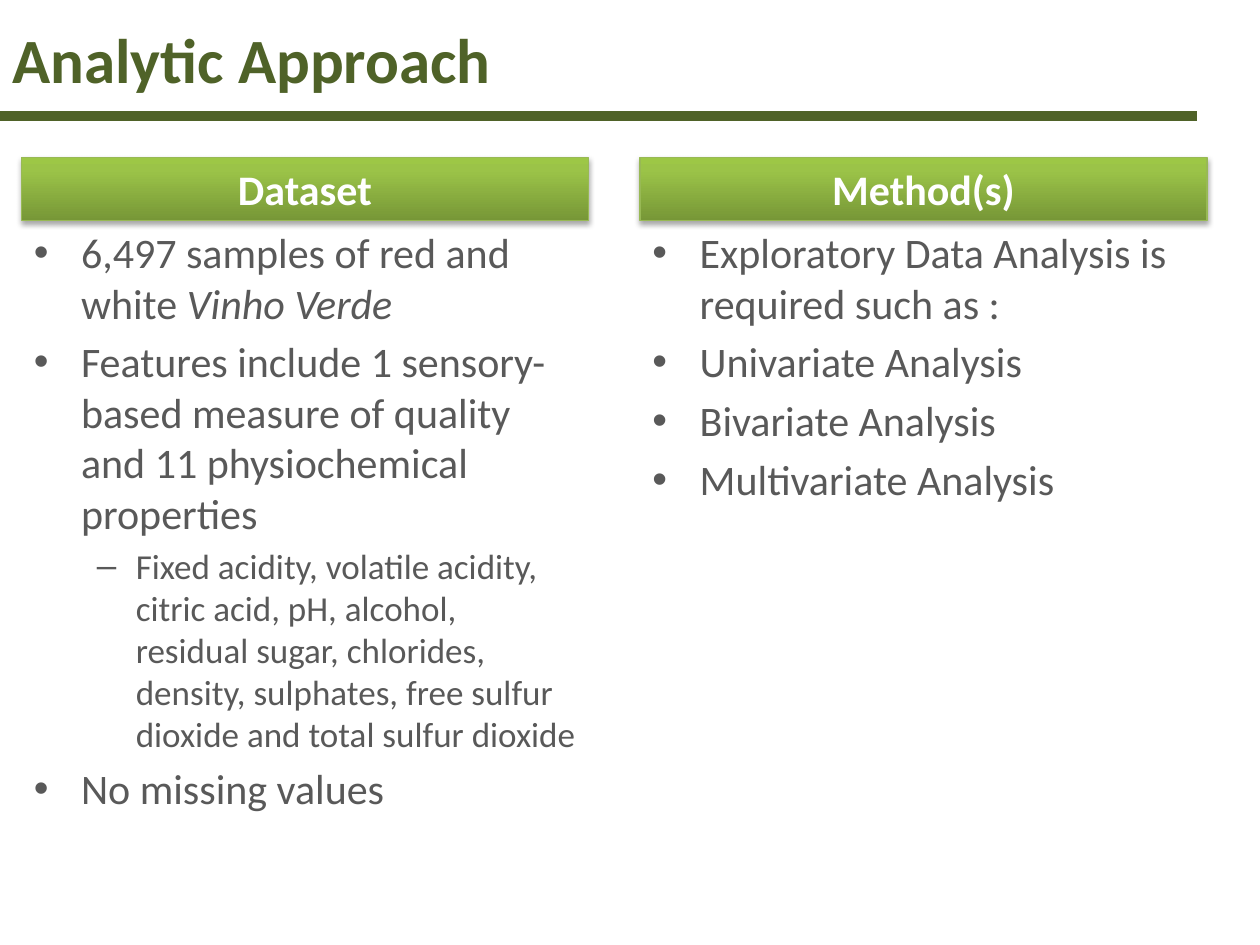
from dataclasses import dataclass

from pptx import Presentation
from pptx.dml.color import RGBColor
from pptx.enum.shapes import MSO_CONNECTOR, MSO_SHAPE
from pptx.enum.text import MSO_ANCHOR, PP_ALIGN
from pptx.oxml import parse_xml
from pptx.oxml.ns import nsdecls, qn
from pptx.util import Inches, Pt


@dataclass(frozen=True)
class Theme:
    font: str = "Calibri"
    dark_green: str = "4F6228"
    header_line: str = "98B955"
    header_stops: tuple = ((0, "779737"), (80, "9BC348"), (100, "9DC746"))
    body: str = "595959"
    white: str = "FFFFFF"
    title_size: int = 36
    text_size: int = 24
    detail_size: int = 20


@dataclass(frozen=True)
class Bullet:
    text: str
    italic_end: str = ""
    level: int = 0


@dataclass(frozen=True)
class Column:
    header: str
    left: float
    bullets: tuple[Bullet, ...]


@dataclass(frozen=True)
class BulletStyle:
    mark: str
    size: int
    margin: float
    hanging: float


THEME = Theme()
BULLET_STYLES = (
    BulletStyle("•", THEME.text_size, 0.375, 0.375),
    BulletStyle("–", THEME.detail_size, 0.81, 0.31),
)
COLUMN_WIDTH = 4.5
HEADER_TOP, HEADER_HEIGHT = 1.25, 0.5
BODY_HEIGHT = 5.25
RULE_WIDTH, RULE_TOP = 9.5, 0.92

COLUMNS = (
    Column("Dataset", 0.17, (
        Bullet("6,497 samples of red and white ", italic_end="Vinho Verde"),
        Bullet("Features include 1 sensory-based measure of quality and "
               "11 physiochemical properties"),
        Bullet("Fixed acidity, volatile acidity, citric acid, pH, alcohol, "
               "residual sugar, chlorides, density, sulphates, free sulfur "
               "dioxide and total sulfur dioxide", level=1),
        Bullet("No missing values"),
    )),
    Column("Method(s)", 5.08, (
        Bullet("Exploratory Data Analysis is required such as :"),
        Bullet("Univariate Analysis"),
        Bullet("Bivariate Analysis"),
        Bullet("Multivariate Analysis"),
    )),
)


def add_span(para, text: str, *, size: int, color: str,
             bold: bool = False, italic: bool = False) -> None:
    span = para.add_run()
    span.text = text
    span.font.name = THEME.font
    span.font.size = Pt(size)
    span.font.bold = bold
    span.font.italic = italic
    span.font.color.rgb = RGBColor.from_string(color)


def add_text_box(slide, left: float, top: float, width: float, height: float):
    box = slide.shapes.add_textbox(
        Inches(left), Inches(top), Inches(width), Inches(height))
    box.text_frame.word_wrap = True
    return box.text_frame


def add_title(slide, text: str) -> None:
    frame = add_text_box(slide, 0, 0.01, RULE_WIDTH, 0.91)
    frame.vertical_anchor = MSO_ANCHOR.MIDDLE
    add_span(frame.paragraphs[0], text, size=THEME.title_size,
             color=THEME.dark_green, bold=True)


def add_title_rule(slide) -> None:
    rule = slide.shapes.add_connector(
        MSO_CONNECTOR.STRAIGHT, Inches(0), Inches(RULE_TOP),
        Inches(RULE_WIDTH), Inches(RULE_TOP))
    rule.line.color.rgb = RGBColor.from_string(THEME.dark_green)
    rule.line.width = Pt(6)
    rule._element.spPr.append(parse_xml(f"<a:effectLst {nsdecls('a')}/>"))


def set_header_effects(shape) -> None:
    """Give the shape a vertical gradient and a soft shadow below it."""
    stops = "".join(
        f'<a:gs pos="{place * 1000}"><a:srgbClr val="{color}"/></a:gs>'
        for place, color in THEME.header_stops)
    properties = shape._element.spPr
    properties.find(qn("a:prstGeom")).addnext(parse_xml(
        f'<a:gradFill {nsdecls("a")} rotWithShape="1"><a:gsLst>{stops}</a:gsLst>'
        '<a:lin ang="16200000" scaled="0"/></a:gradFill>'))
    shape.shadow.inherit = False
    properties.find(qn("a:effectLst")).append(parse_xml(
        f'<a:outerShdw {nsdecls("a")} blurRad="{Pt(3.1)}" dist="{Pt(1.8)}" '
        'dir="5400000" rotWithShape="0"><a:srgbClr val="000000">'
        '<a:alpha val="35000"/></a:srgbClr></a:outerShdw>'))


def add_header(slide, column: Column) -> None:
    shape = slide.shapes.add_shape(
        MSO_SHAPE.RECTANGLE, Inches(column.left), Inches(HEADER_TOP),
        Inches(COLUMN_WIDTH), Inches(HEADER_HEIGHT))
    shape.line.color.rgb = RGBColor.from_string(THEME.header_line)
    shape.line.width = Pt(0.75)
    set_header_effects(shape)
    shape.text_frame.vertical_anchor = MSO_ANCHOR.MIDDLE
    para = shape.text_frame.paragraphs[0]
    para.alignment = PP_ALIGN.CENTER
    add_span(para, column.header, size=THEME.text_size,
             color=THEME.white, bold=True)


def format_bullet(para, level: int) -> None:
    style = BULLET_STYLES[level]
    para.level = level
    para.space_before = Pt(style.size * 0.2)
    properties = para._p.get_or_add_pPr()
    properties.set("marL", str(Inches(style.margin)))
    properties.set("indent", str(-Inches(style.hanging)))
    properties.append(parse_xml(
        f'<a:buFont {nsdecls("a")} typeface="Arial"/>'))
    properties.append(parse_xml(
        f'<a:buChar {nsdecls("a")} char="{style.mark}"/>'))


def add_bullets(slide, column: Column) -> None:
    frame = add_text_box(slide, column.left, HEADER_TOP + HEADER_HEIGHT,
                         COLUMN_WIDTH, BODY_HEIGHT)
    for index, bullet in enumerate(column.bullets):
        para = frame.add_paragraph() if index else frame.paragraphs[0]
        format_bullet(para, bullet.level)
        size = BULLET_STYLES[bullet.level].size
        add_span(para, bullet.text, size=size, color=THEME.body)
        if bullet.italic_end:
            add_span(para, bullet.italic_end, size=size,
                     color=THEME.body, italic=True)


def main() -> None:
    deck = Presentation()
    deck.slide_width, deck.slide_height = Inches(10), Inches(7.5)
    slide = deck.slides.add_slide(deck.slide_layouts[6])
    add_title(slide, "Analytic Approach")
    add_title_rule(slide)
    for column in COLUMNS:
        add_bullets(slide, column)
        add_header(slide, column)
    deck.save("out.pptx")


if __name__ == "__main__":
    main()
